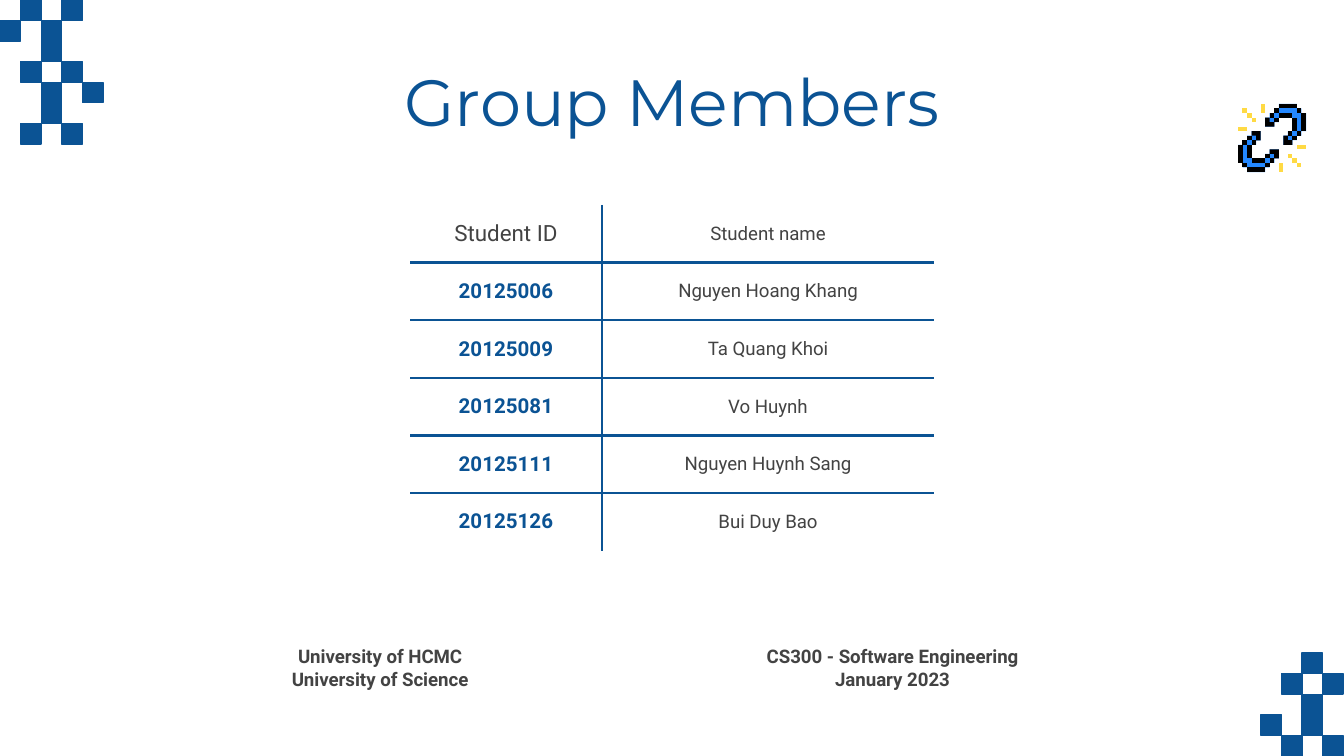
from dataclasses import dataclass

from lxml.etree import SubElement
from pptx import Presentation
from pptx.dml.color import RGBColor
from pptx.enum.shapes import MSO_SHAPE
from pptx.enum.text import MSO_ANCHOR, MSO_AUTO_SIZE, PP_ALIGN
from pptx.oxml.ns import qn
from pptx.util import Pt

WIDTH, HEIGHT = 1344, 756
PX = 9144000 / WIDTH


def px(length):
    return round(length * PX)


@dataclass(frozen=True)
class Theme:
    blue: str = "0B5394"
    grey: str = "434343"
    link: str = "2488FF"
    spark: str = "FFDA44"
    outline: str = "000000"
    title_font: str = "Montserrat"
    body_font: str = "Roboto"
    title_size: int = 35
    header_size: int = 12
    id_size: int = 11
    body_size: int = 10
    rule: float = 1.5
    edge: float = 0.75
    inset: int = 13


class SlideBuilder:
    def __init__(self, slide, theme):
        self.slide = slide
        self.theme = theme

    def run(self, paragraph, text, size, color, bold=False, font=None):
        paragraph.alignment = PP_ALIGN.CENTER
        paragraph.line_spacing = 1.0
        run = paragraph.add_run()
        run.text = text
        run.font.name = font or self.theme.body_font
        run.font.size = Pt(size)
        run.font.bold = bold
        run.font.color.rgb = RGBColor.from_string(color)

    def frame(self, shape):
        frame = shape.text_frame
        frame.word_wrap = True
        frame.auto_size = MSO_AUTO_SIZE.NONE
        frame.vertical_anchor = MSO_ANCHOR.TOP
        self.inset(frame)
        return frame

    def inset(self, box):
        box.margin_left = box.margin_right = px(self.theme.inset)
        box.margin_top = box.margin_bottom = px(self.theme.inset)

    def title(self, text, left, top, width, height):
        title = self.slide.shapes.title
        title.left, title.top = px(left), px(top)
        title.width, title.height = px(width), px(height)
        theme = self.theme
        self.run(self.frame(title).paragraphs[0], text, theme.title_size,
                 theme.blue, font=theme.title_font)

    def caption(self, paragraphs, left, top, width, height):
        """Each paragraph is a list of lines."""
        box = self.slide.shapes.add_textbox(px(left), px(top), px(width), px(height))
        frame = self.frame(box)
        for index, lines in enumerate(paragraphs):
            paragraph = frame.add_paragraph() if index else frame.paragraphs[0]
            for number, line in enumerate(lines):
                if number:
                    paragraph.add_line_break()
                self.run(paragraph, line, self.theme.body_size, self.theme.grey, True)

    def checkers(self, pattern, left, top, width, height):
        """Draw a square for every # in the pattern."""
        step_x, step_y = width / len(pattern[0]), height / len(pattern)
        color = RGBColor.from_string(self.theme.blue)
        for row, marks in enumerate(pattern):
            for col, mark in enumerate(marks):
                if mark != "#":
                    continue
                square = self.slide.shapes.add_shape(
                    MSO_SHAPE.RECTANGLE, px(left + col * step_x),
                    px(top + row * step_y), px(step_x), px(step_y))
                square.shadow.inherit = False
                square.fill.solid()
                square.fill.fore_color.rgb = color
                square.line.color.rgb = color
                square.line.width = Pt(self.theme.edge)

    def outline(self, points, color, left, top, unit):
        corners = [(px(left + x * unit), px(top + y * unit)) for x, y in points]
        builder = self.slide.shapes.build_freeform(*corners[0])
        builder.add_line_segments(corners[1:], close=True)
        piece = builder.convert_to_shape()
        piece.shadow.inherit = False
        piece.fill.solid()
        piece.fill.fore_color.rgb = RGBColor.from_string(color)
        piece.line.fill.background()

    def borders(self, cell, visible):
        """Rule the sides listed in visible; clear the others."""
        properties = cell._tc.get_or_add_tcPr()
        for side in "LRTB":
            line = SubElement(properties, qn(f"a:ln{side}"), w=str(Pt(self.theme.rule)))
            if side in visible:
                fill = SubElement(line, qn("a:solidFill"))
                SubElement(fill, qn("a:srgbClr"), val=self.theme.blue)
            else:
                SubElement(line, qn("a:noFill"))

    def table(self, rows, left, top, widths, height):
        theme = self.theme
        table = self.slide.shapes.add_table(
            len(rows), len(widths), px(left), px(top), px(sum(widths)), px(height)).table
        table.first_row = table.horz_banding = False
        for column, width in zip(table.columns, widths):
            column.width = px(width)
        for r, texts in enumerate(rows):
            table.rows[r].height = px(height / len(rows))
            for c, text in enumerate(texts):
                cell = table.cell(r, c)
                self.inset(cell)
                cell.vertical_anchor = MSO_ANCHOR.MIDDLE
                visible = ("L" if c else "R") + ("T" if r else "")
                self.borders(cell, visible + ("B" if r < len(rows) - 1 else ""))
                cell.fill.background()
                if c:
                    style = theme.body_size, theme.grey
                elif r:
                    style = theme.id_size, theme.blue, True
                else:
                    style = theme.header_size, theme.grey
                self.run(cell.text_frame.paragraphs[0], text, *style)


def block(x, y, w=1, h=1):
    return [(x, y), (x, y + h), (x + w, y + h), (x + w, y)]


# Half of the broken chain on a 15 by 15 grid; the rest is its half turn
GRID = 15
LINK = [[(9, 0), (9, 1), (8, 1), (8, 2), (7, 2), (7, 3), (6, 3), (6, 5), (8, 5), (8, 4),
         (9, 4), (9, 3), (12, 3), (12, 6), (11, 6), (11, 7), (10, 7), (10, 9), (12, 9),
         (12, 8), (13, 8), (13, 7), (14, 7), (14, 6), (15, 6), (15, 2), (14, 2), (14, 1),
         (13, 1), (13, 0)]]
SPARKS = [block(3, 3), block(2, 2), block(1, 1), block(5, 0, h=2), block(0, 5, w=2)]
EDGES = [block(9, 0, w=4), block(13, 1), block(14, 2, h=4), block(7, 2), block(8, 1),
         block(12, 7), block(13, 6), block(11, 6), block(12, 3, h=3), block(8, 3),
         block(9, 2, w=3),
         [(6, 3), (6, 5), (8, 5), (8, 4), (7, 4), (7, 3)],
         [(10, 7), (10, 9), (12, 9), (12, 8), (11, 8), (11, 7)]]

MEMBERS = [
    ("Student ID", "Student name"),
    ("20125006", "Nguyen Hoang Khang"),
    ("20125009", "Ta Quang Khoi"),
    ("20125081", "Vo Huynh"),
    ("20125111", "Nguyen Huynh Sang"),
    ("20125126", "Bui Duy Bao"),
]


def main():
    deck = Presentation()
    deck.slide_width, deck.slide_height = px(WIDTH), px(HEIGHT)
    theme = Theme()
    page = SlideBuilder(deck.slides.add_slide(deck.slide_layouts[5]), theme)

    # Corner checkers
    page.checkers([".#.#.", "#.#..", "..#..", ".#.#.", "..#.#", "..#..", ".#.#."],
                  0, 0, 103, 144)
    page.checkers(["..#.", ".#.#", "..#.", "#.#.", ".#.#"], 1261, 653, 82, 103)

    # Broken chain
    for pieces, color in ((LINK, theme.link), (SPARKS, theme.spark), (EDGES, theme.outline)):
        for points in pieces:
            turned = [(GRID - x, GRID - y) for x, y in points]
            for corners in (points, turned):
                page.outline(corners, color, 1238, 104, 68 / GRID)

    # Title and member list
    page.title("Group Members", 106, 48, 1132, 85)
    page.table(MEMBERS, 410, 205, (192, 332), 346)

    # University and course
    page.caption([["University of HCMC", "University of Science"]], 160, 632, 440, 73)
    page.caption([["CS300 - Software Engineering"], ["January 2023"]], 600, 632, 585, 73)

    deck.save("out.pptx")


if __name__ == "__main__":
    main()
